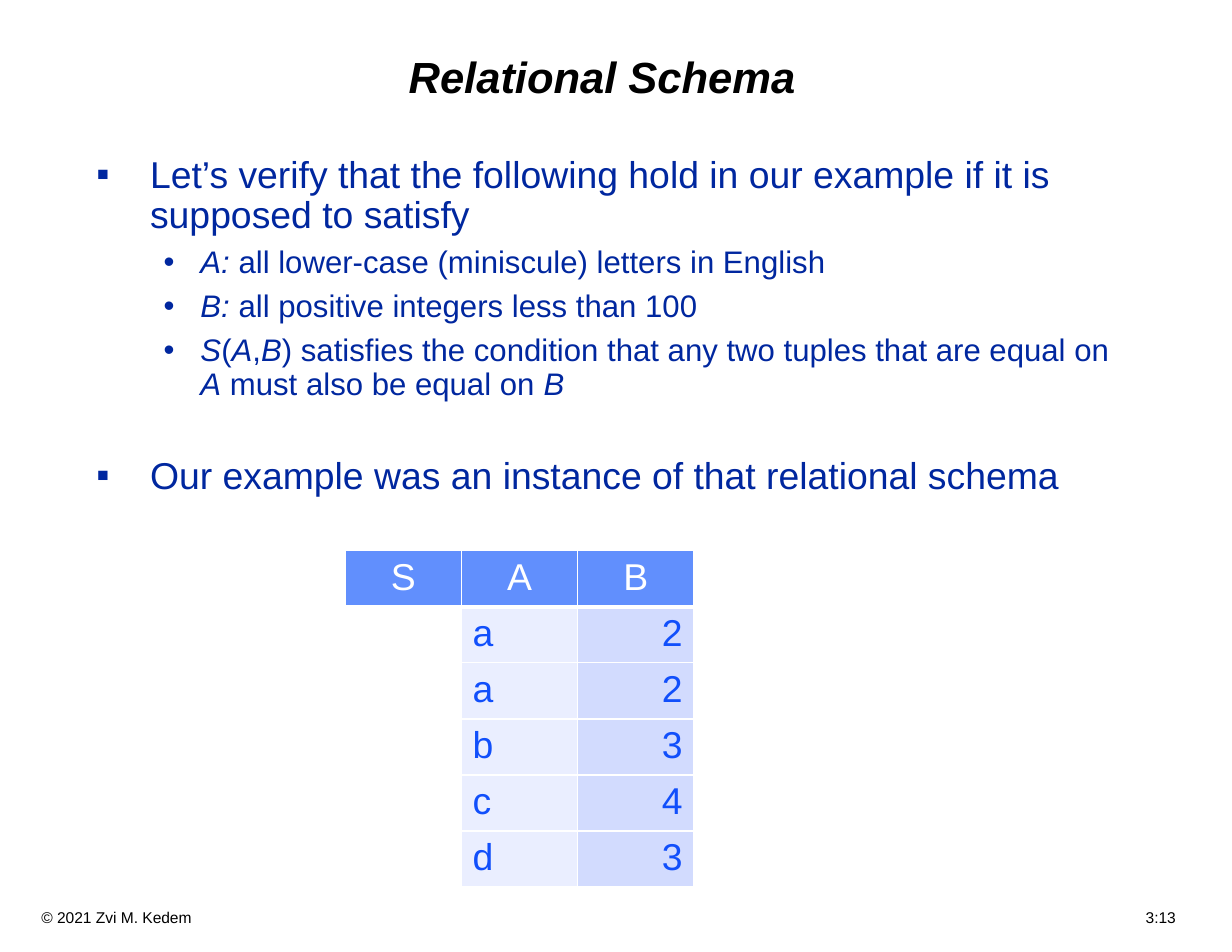
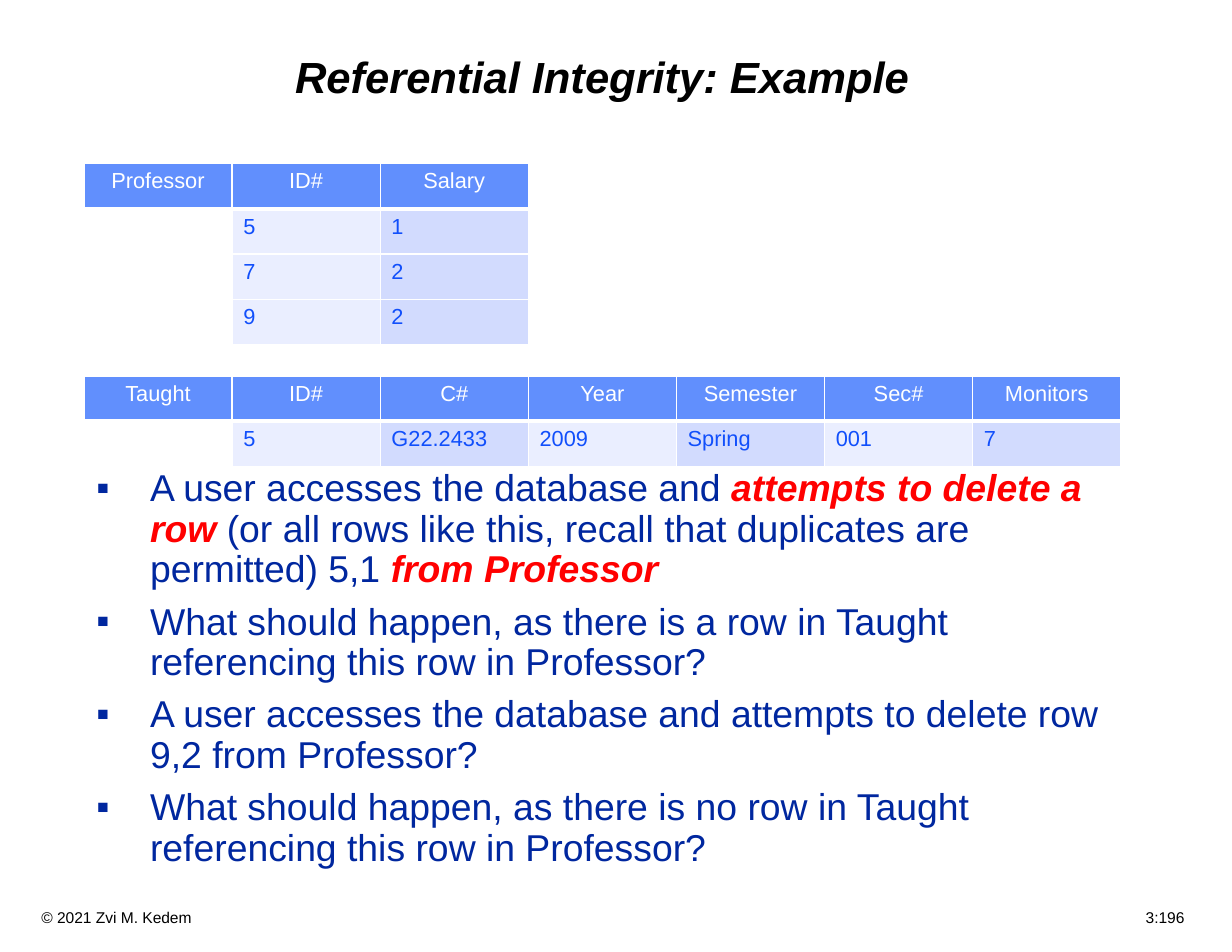
from lxml.etree import SubElement
from pptx import Presentation
from pptx.dml.color import RGBColor
from pptx.enum.text import MSO_ANCHOR, PP_ALIGN
from pptx.oxml.ns import qn
from pptx.util import Inches, Pt

FONT = "Arial"
BLACK, WHITE, RED = "000000", "FFFFFF", "FF0000"
NAVY, CELL_TEXT = "00279F", "114FFB"
HEADER_FILL, COLUMN_FILLS = "618FFD", ("EAEEFF", "D2DBFE")

COLUMNS, ROWS, UNIT = 44, 34, 0.25  # the slide as a grid of quarter inches
LEFT, BODY_TOP, BODY_WIDTH, BODY_BOTTOM = 3, 5.33, 37.33, 32
TABLE_ROW = 1.62
LINE_SPACING = 0.9
SPACE_BEFORE = 0.33  # share of the text size

# level: size, bullet, text indent and hanging indent in grid units
LEVELS = (
    {"size": 24, "bullet": "▪", "indent": 1.92, "hanging": 1.92},
    {"size": 20, "bullet": "•", "indent": 3.72, "hanging": 1.32},
)
ITALIC = {"italic": True}
WARNING = {"bold": True, "italic": True, "color": RED}


def grid(units):
    return Inches(units * UNIT)


def rgb(color):
    return RGBColor.from_string(color)


def style_font(font, color, **values):
    font.name = FONT
    font.color.rgb = rgb(color)
    for name, value in values.items():
        setattr(font, name, value)


def add_text_frame(slide, left, top, width, height, **values):
    box = slide.shapes.add_textbox(*map(grid, (left, top, width, height)))
    frame = box.text_frame
    settings = {
        "word_wrap": True,
        "margin_left": Inches(0.11),
        "margin_right": Inches(0.11),
        "margin_top": Inches(0.06),
        "margin_bottom": Inches(0.06),
    }
    for name, value in {**settings, **values}.items():
        setattr(frame, name, value)
    return frame


def add_title(slide, text):
    frame = add_text_frame(slide, LEFT, 1, 37, 3.68, vertical_anchor=MSO_ANCHOR.MIDDLE)
    paragraph = frame.paragraphs[0]
    paragraph.text = text
    paragraph.alignment = PP_ALIGN.CENTER
    paragraph.line_spacing = LINE_SPACING
    style_font(paragraph.font, BLACK, size=Pt(28), bold=True, italic=True)


def add_footer(slide, page):
    """Copyright at the left and page number at a tab stop."""
    start, page_start = 1.48, 40.92
    frame = add_text_frame(slide, 0, 32.24, COLUMNS, 1.08, margin_left=grid(start),
                           margin_right=0, margin_top=Inches(0.05))
    paragraph = frame.paragraphs[0]
    paragraph.text = f"© 2021 Zvi M. Kedem\t{page}"
    tabs = SubElement(paragraph._p.get_or_add_pPr(), qn("a:tabLst"))
    SubElement(tabs, qn("a:tab"), pos=str(grid(page_start - start)), algn="l")
    style_font(paragraph.font, BLACK, size=Pt(10))


def add_bullet(paragraph, level):
    properties = paragraph._p.get_or_add_pPr()
    properties.set("marL", str(grid(level["indent"])))
    properties.set("indent", str(-grid(level["hanging"])))
    color = SubElement(properties, qn("a:buClr"))
    SubElement(color, qn("a:srgbClr"), val=NAVY)
    SubElement(properties, qn("a:buFont"), typeface=FONT)
    SubElement(properties, qn("a:buChar"), char=level["bullet"])


def add_bullets(slide, top, items):
    """Each item is (level, extra points before, runs); a run is text or (text, style)."""
    frame = add_text_frame(slide, LEFT, top, BODY_WIDTH, BODY_BOTTOM - top)
    for index, (depth, extra, runs) in enumerate(items):
        paragraph = frame.add_paragraph() if index else frame.paragraphs[0]
        level = LEVELS[depth]
        paragraph.level = depth
        add_bullet(paragraph, level)
        paragraph.line_spacing = LINE_SPACING
        if index:
            paragraph.space_before = Pt(level["size"] * SPACE_BEFORE + extra)
        for item in runs:
            text, style = (item, {}) if isinstance(item, str) else item
            run = paragraph.add_run()
            run.text = text
            style_font(run.font, **{"color": NAVY, "size": Pt(level["size"]), **style})


def set_borders(cell, bottom):
    properties = cell._tc.get_or_add_tcPr()
    for side, width in {"L": 1, "R": 1, "T": 1, "B": bottom}.items():
        line = SubElement(properties, qn(f"a:ln{side}"), w=str(Pt(width)))
        fill = SubElement(line, qn("a:solidFill"))
        SubElement(fill, qn("a:srgbClr"), val=WHITE)


def add_relation(slide, left, top, column_width, size, header, tuples, alignments=()):
    """Table headed by the relation's name, with its tuples below the attributes."""
    rows = [header, *(("", *values) for values in tuples)]
    frame = slide.shapes.add_table(
        len(rows), len(header), grid(left), grid(top),
        grid(column_width * len(header)), grid(TABLE_ROW * len(rows)))
    table = frame.table
    table.horz_banding = False
    for r, values in enumerate(rows):
        for c, value in enumerate(values):
            cell = table.cell(r, c)
            set_borders(cell, bottom=1 if r else 3)
            if r == 0:
                fill, color, alignment = HEADER_FILL, WHITE, PP_ALIGN.CENTER
            else:
                fill = COLUMN_FILLS[(c - 1) % 2] if c else WHITE
                color = CELL_TEXT
                alignment = alignments[c] if alignments else PP_ALIGN.LEFT
            cell.fill.solid()
            cell.fill.fore_color.rgb = rgb(fill)
            if value:
                paragraph = cell.text_frame.paragraphs[0]
                paragraph.alignment = alignment
                run = paragraph.add_run()
                run.text = value
                style_font(run.font, color, size=Pt(size), bold=False)


def add_slide(presentation, title, page):
    slide = presentation.slides.add_slide(presentation.slide_layouts[6])
    add_footer(slide, page)
    add_title(slide, title)
    return slide


def add_schema_slide(presentation):
    slide = add_slide(presentation, "Relational Schema", "3:13")
    add_bullets(slide, BODY_TOP, [
        (0, 0, ["Let’s verify that the following hold in our example if it is "
                "supposed to satisfy"]),
        (1, 0, [("A: ", ITALIC), "all lower-case (miniscule) letters in English"]),
        (1, 0, [("B:", ITALIC), " all positive integers less than 100"]),
        (1, 0, [("S", ITALIC), "(", ("A", ITALIC), ",", ("B", ITALIC),
                ") satisfies the condition that any two tuples that are equal on ",
                ("A", ITALIC), " must also be equal on ", ("B", ITALIC)]),
        (0, 27.5, ["Our example was an instance of that relational schema"]),
    ])
    add_relation(slide, 12.33, 19.67, 4.15, 24, ("S", "A", "B"),
                 [("a", "2"), ("a", "2"), ("b", "3"), ("c", "4"), ("d", "3")],
                 (PP_ALIGN.LEFT, PP_ALIGN.LEFT, PP_ALIGN.RIGHT))


def add_integrity_slide(presentation):
    slide = add_slide(presentation, "Referential Integrity: Example", "3:196")
    add_bullets(slide, 16.53, [
        (0, 0, ["A user accesses the database and ",
                ("attempts to delete a row ", WARNING),
                "(or all rows like this, recall that duplicates are permitted) 5,1 ",
                ("from Professor", WARNING)]),
        (0, 0, ["What should happen, as there is a row in Taught referencing "
                "this row in Professor?"]),
        (0, 0, ["A user accesses the database and attempts to delete row 9,2 "
                "from Professor?"]),
        (0, 0, ["What should happen, as there is no row in Taught referencing "
                "this row in Professor?"]),
    ])
    column_width, size = 5.29, 14
    add_relation(slide, LEFT, 13.43, column_width, size,
                 ("Taught", "ID#", "C#", "Year", "Semester", "Sec#", "Monitors"),
                 [("5", "G22.2433", "2009", "Spring", "001", "7")])
    add_relation(slide, LEFT, 5.84, column_width, size,
                 ("Professor", "ID#", "Salary"),
                 [("5", "1"), ("7", "2"), ("9", "2")])


def main():
    presentation = Presentation()
    presentation.slide_width = grid(COLUMNS)
    presentation.slide_height = grid(ROWS)
    add_schema_slide(presentation)
    add_integrity_slide(presentation)
    presentation.save("out.pptx")


if __name__ == "__main__":
    main()
